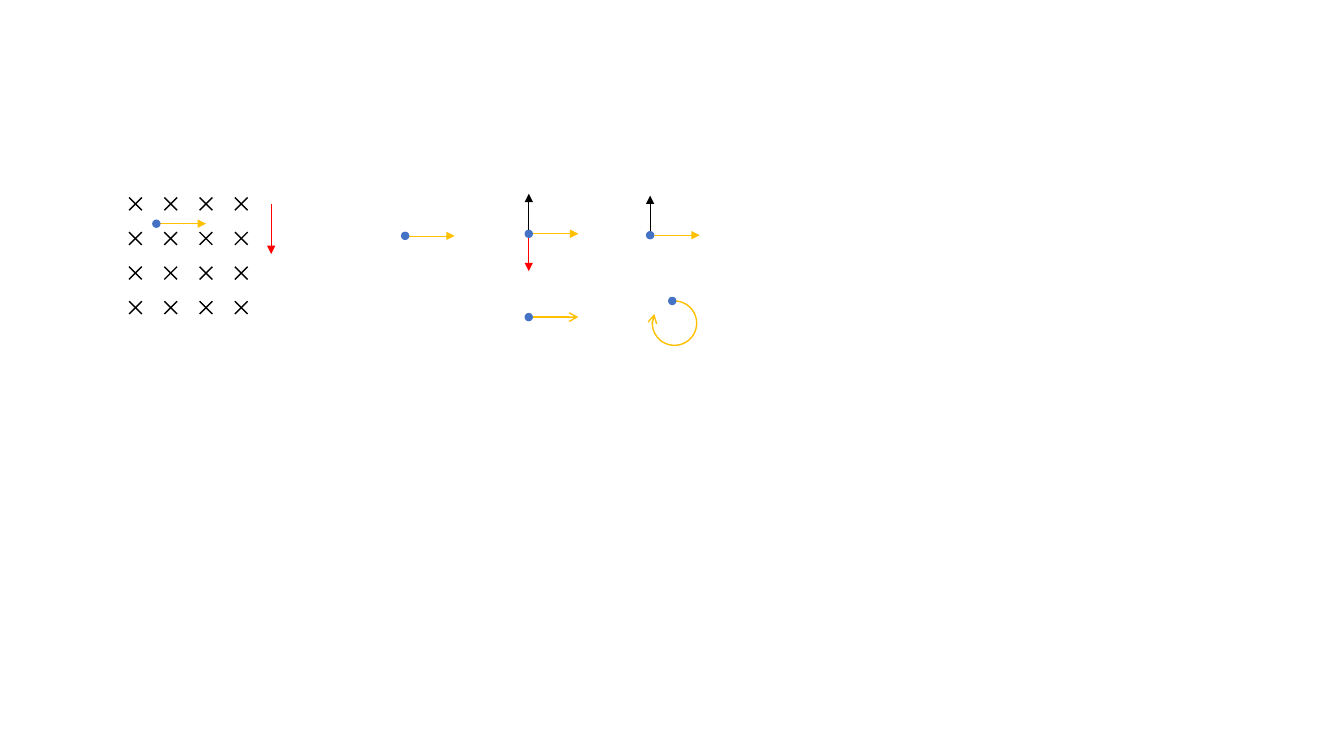
from itertools import product

from lxml.etree import SubElement
from pptx import Presentation
from pptx.dml.color import RGBColor
from pptx.enum.shapes import MSO_CONNECTOR as Connector, MSO_SHAPE as Shape
from pptx.oxml.ns import qn
from pptx.util import Pt

BLACK, RED, ORANGE, BLUE = "000000", "FF0000", "FFC000", "4472C4"
DOT = 6
VELOCITY_LENGTH = 38.4


def color(value):
    return RGBColor.from_string(value)


def style_line(shape, line_color, width, head=None):
    shape.line.color.rgb = color(line_color)
    shape.line.width = Pt(width)
    if head:
        SubElement(shape.line._get_or_add_ln(), qn("a:tailEnd"), type=head)


def add_line(shapes, start, end, line_color, width, head=None):
    points = [Pt(value) for value in (*start, *end)]
    connector = shapes.add_connector(Connector.STRAIGHT, *points)
    style_line(connector, line_color, width, head)
    SubElement(connector._element.spPr, qn("a:effectLst"))


def add_particle(shapes, x, y):
    dot = shapes.add_shape(
        Shape.OVAL, Pt(x - DOT / 2), Pt(y - DOT / 2), Pt(DOT), Pt(DOT))
    dot.shadow.inherit = False
    dot.fill.solid()
    dot.fill.fore_color.rgb = color(BLUE)
    dot.line.fill.background()


def add_moving_particle(shapes, x, y, width=0.5, head="triangle"):
    left = x - DOT / 2
    add_line(shapes, (left, y), (left + VELOCITY_LENGTH, y), ORANGE, width, head)
    add_particle(shapes, x, y)


def add_force(shapes, x, y, tip, line_color):
    edge = y + DOT / 2 if tip > y else y - DOT / 2
    add_line(shapes, (x, edge), (x, tip), line_color, 0.5, "triangle")


def add_cross(shapes, left, top, size=9.1):
    right, bottom = left + size, top + size
    add_line(shapes, (left, top), (right, bottom), BLACK, 1)
    add_line(shapes, (right, top), (left, bottom), BLACK, 1)


def add_orbit(shapes, left, top, size):
    arc = shapes.add_shape(Shape.ARC, Pt(left), Pt(top), Pt(size), Pt(size))
    arc.shadow.inherit = False
    arc.adjustments[0] = 162
    arc.adjustments[1] = 122.74
    arc.fill.background()
    style_line(arc, ORANGE, 1, "arrow")


def main():
    presentation = Presentation()
    presentation.slide_width = Pt(960)
    presentation.slide_height = Pt(540)
    slide = presentation.slides.add_slide(presentation.slide_layouts[6])

    field = slide.shapes.add_group_shape().shapes
    for row, column in product(range(4), repeat=2):
        add_cross(field, 92.2 + 25.2 * column, 141.1 + 24.7 * row)
    add_moving_particle(field, 111.7, 159.8)
    add_line(field, (193.7, 145.4), (193.7, 181.4), RED, 0.5, "triangle")

    cases = slide.shapes.add_group_shape().shapes
    add_moving_particle(cases, 289.4, 168.5)
    add_moving_particle(cases, 377.7, 167)
    add_force(cases, 377.7, 167, 138.4, BLACK)
    add_force(cases, 377.7, 167, 193.7, RED)
    add_moving_particle(cases, 464.4, 168)
    add_force(cases, 464.4, 168, 139.7, BLACK)
    add_moving_particle(cases, 377.7, 226.5, 1, "arrow")
    add_orbit(cases, 466, 215, 31.7)
    add_particle(cases, 480.2, 215)

    presentation.save("out.pptx")


if __name__ == "__main__":
    main()
